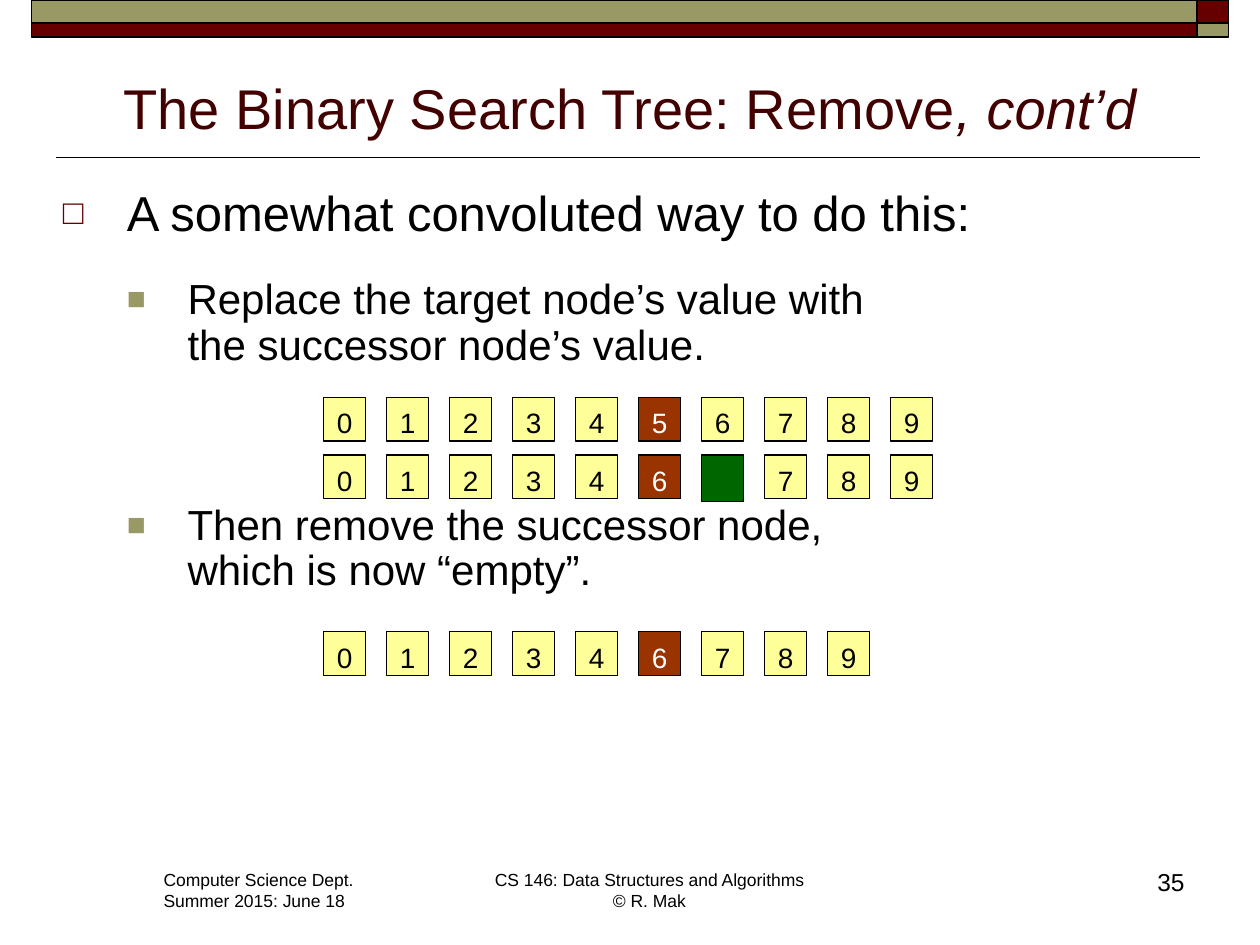
from lxml import etree
from pptx import Presentation
from pptx.dml.color import RGBColor
from pptx.enum.shapes import MSO_CONNECTOR, MSO_SHAPE
from pptx.enum.text import MSO_ANCHOR, MSO_AUTO_SIZE, PP_ALIGN
from pptx.oxml.ns import qn
from pptx.util import Pt

RECT = MSO_SHAPE.RECTANGLE
LINE = MSO_CONNECTOR.STRAIGHT
TOP, BOTTOM = MSO_ANCHOR.TOP, MSO_ANCHOR.BOTTOM
LEFT, MID, RIGHT = PP_ALIGN.LEFT, PP_ALIGN.CENTER, PP_ALIGN.RIGHT
FIXED = MSO_AUTO_SIZE.NONE

HUE = {
    "black": "000000",
    "white": "FFFFFF",
    "wine": "660000",
    "olive": "999966",
    "title": "420000",
    "node": "FFFF99",
    "target": "993300",
    "empty": "006600",
}


def style(para, size, hue="black", align=LEFT):
    para.alignment = align
    look = {"name": "Arial", "size": Pt(size)}
    for run in para.runs:
        for key, val in look.items():
            setattr(run.font, key, val)
        run.font.color.rgb = RGBColor.from_string(HUE[hue])


def block(x, y, w, h, hue, edge):
    box = slide.shapes.add_shape(RECT, Pt(x), Pt(y), Pt(w), Pt(h))
    box.shadow.inherit = False
    box.fill.solid()
    box.fill.fore_color.rgb = RGBColor.from_string(HUE[hue])
    box.line.color.rgb = RGBColor.from_string(HUE["black"])
    box.line.width = Pt(edge)
    return box


deck = Presentation()
deck.slide_width, deck.slide_height = Pt(720), Pt(540)
slide = deck.slides.add_slide(deck.slide_layouts[5])

rule = slide.shapes.add_connector(LINE, Pt(686), Pt(90), Pt(32), Pt(90))
rule.line.color.rgb = RGBColor.from_string(HUE["black"])
rule.line.width = Pt(1)
etree.SubElement(rule._element.spPr, qn("a:effectLst"))

for y, h, hues in [(0, 13, ("olive", "wine")), (13, 8, ("wine", "olive"))]:
    for x, w, hue in zip((18, 684), (666, 18), hues):
        block(x, y, w, h, hue, 1)

title = slide.shapes.title
spot = {"left": Pt(36), "top": Pt(32.4), "width": Pt(648), "height": Pt(51.8)}
for key, val in spot.items():
    setattr(title, key, val)
frame = title.text_frame
form = {"word_wrap": True, "auto_size": FIXED, "vertical_anchor": BOTTOM}
for key, val in form.items():
    setattr(frame, key, val)
head = frame.paragraphs[0]
head.add_run().text = "The Binary Search Tree: Remove"
tail = head.add_run()
tail.text = ", cont’d"
style(head, 32, "title", MID)
tail.font.italic = True

body = slide.shapes.add_textbox(Pt(28.8), Pt(104.4), Pt(669.6), Pt(244.8))
frame = body.text_frame
frame.word_wrap = True
points = [
    ("A somewhat convoluted way to do this:", 0, 28, 0, 36.7, "□", "wine", 70),
    ("Replace the target node’s value with \vthe successor node’s value.",
     1, 24, 21, 34.6, "■", "olive", 75),
    ("Then remove the successor node, \vwhich is now “empty”.",
     1, 24, 77, 34.6, "■", "olive", 75),
]
for i, (text, level, size, gap, hang, mark, hue, scale) in enumerate(points):
    para = frame.paragraphs[0] if i == 0 else frame.add_paragraph()
    para.text = text
    style(para, size)
    form = {"level": level, "line_spacing": 0.9, "space_before": Pt(gap)}
    for key, val in form.items():
        setattr(para, key, val)
    props = para._p.get_or_add_pPr()
    props.set("marL", str(Pt(36.7 + level * 34.6)))
    props.set("indent", str(-Pt(hang)))
    tint = etree.SubElement(props, qn("a:buClr"))
    etree.SubElement(tint, qn("a:srgbClr"), val=HUE[hue])
    etree.SubElement(props, qn("a:buSzPct"), val=str(scale * 1000))
    etree.SubElement(props, qn("a:buFont"), typeface="Arial")
    etree.SubElement(props, qn("a:buChar"), char=mark)

rows = [(227, "0123456789"), (260, "012346 789"), (361, "012346789")]
for y, keys in rows:
    for i, key in enumerate(keys):
        hue = "empty" if key == " " else "target" if i == 5 else "node"
        high = 26.6 if hue == "empty" else 25
        cell = block(185 + 36 * i, y, 24, high, hue, 0.75)
        if hue == "empty":
            continue
        frame = cell.text_frame
        form = {"word_wrap": False, "vertical_anchor": TOP, "margin_top": Pt(5),
                "margin_bottom": 0, "margin_left": 0, "margin_right": 0}
        for name, val in form.items():
            setattr(frame, name, val)
        frame.text = key
        style(frame.paragraphs[0], 16, "white" if hue == "target" else "black", MID)

notes = [
    (86.4, 493, 124.6, 31.7, "Computer Science Dept.\nSummer 2015: June 18", 10, LEFT, False),
    (275, 493, 192.2, 31.7, "CS 146: Data Structures and Algorithms\v© R. Mak", 10, MID, False),
    (534, 492, 150, 36, "35", 14, RIGHT, True),
]
for x, y, w, h, text, size, align, wrap in notes:
    frame = slide.shapes.add_textbox(Pt(x), Pt(y), Pt(w), Pt(h)).text_frame
    frame.word_wrap = wrap
    frame.text = text
    for para in frame.paragraphs:
        style(para, size, align=align)

deck.save("out.pptx")
